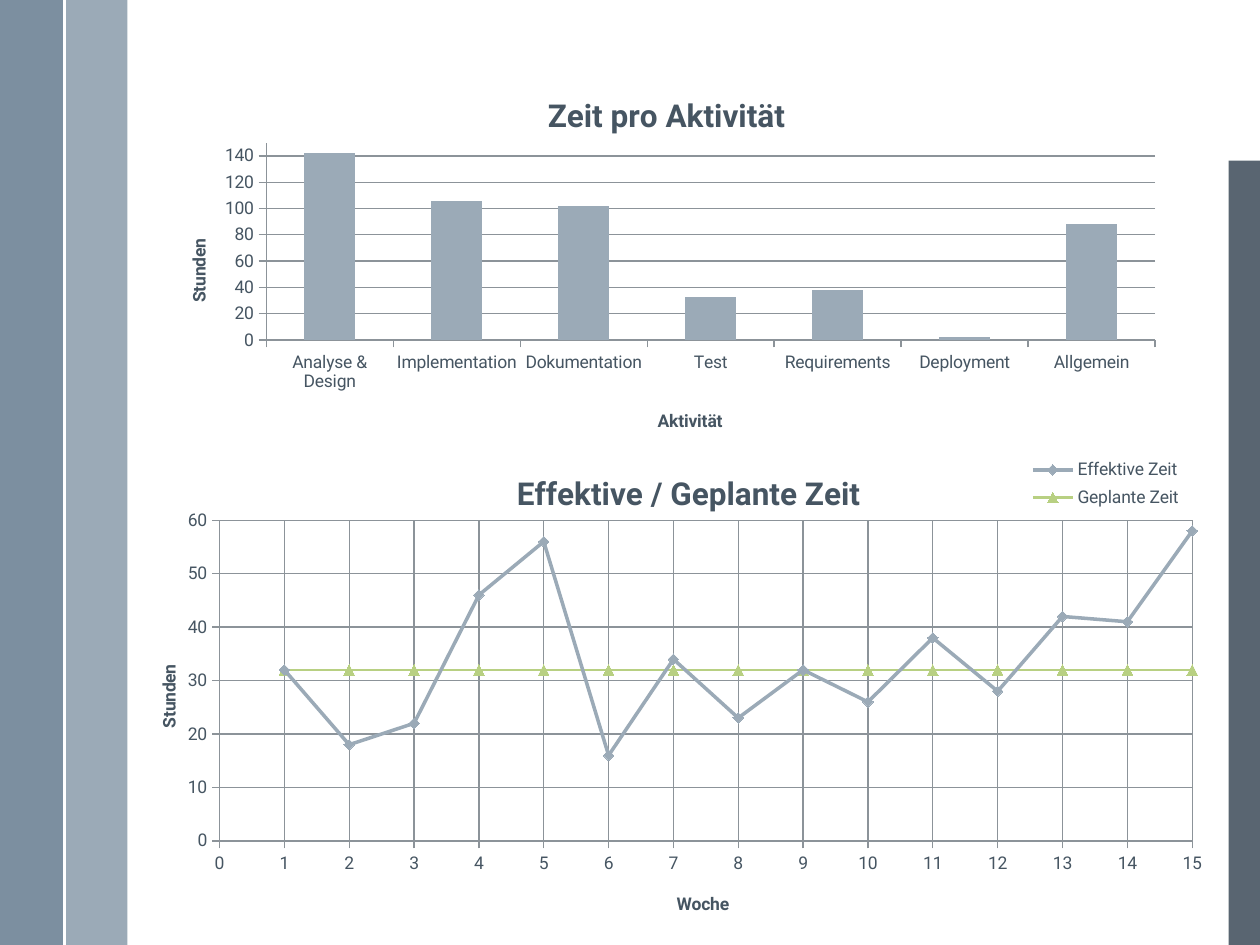
from dataclasses import dataclass
from typing import Optional
from lxml.etree import SubElement
from pptx import Presentation
from pptx.chart.data import CategoryChartData, XyChartData
from pptx.dml.color import RGBColor
from pptx.enum.chart import (XL_CHART_TYPE, XL_LEGEND_POSITION,
                             XL_MARKER_STYLE, XL_TICK_MARK)
from pptx.enum.shapes import MSO_CONNECTOR, MSO_SHAPE
from pptx.oxml import parse_xml
from pptx.oxml.ns import nsdecls, qn
from pptx.util import Cm, Pt

HEX = {"mist": "9BAAB7", "slate": "6A8093", "dark": "475562", "text": "465562",
       "lime": "B8D082", "grid": "8C9399", "white": "FFFFFF"}
FONT = "Roboto"
HIGH = 19.05


@dataclass
class Band:
    left: float
    top: float
    width: float
    color: str
    alpha: int = 100


@dataclass
class Axis:
    title: str
    place: tuple
    top: Optional[float] = None
    step: Optional[float] = None
    grid: bool = True


@dataclass
class Plot:
    kind: XL_CHART_TYPE
    box: tuple
    title: str
    place: tuple
    inner: tuple
    across: Axis
    up: Axis


@dataclass
class Curve:
    name: str
    hours: list
    color: str
    width: float
    mark: XL_MARKER_STYLE


BANDS = [Band(1.3, 0, 1.27, "mist"), Band(0, 0, 1.27, "slate", 88),
         Band(24.77, 3.24, 0.63, "dark", 90)]

WORK = {"Analyse & Design": 142, "Implementation": 106, "Dokumentation": 102,
        "Test": 33, "Requirements": 38, "Deployment": 2, "Allgemein": 88}

CURVES = [
    Curve("Effektive Zeit",
          [32, 18, 22, 46, 56, 16, 34, 23, 32, 26, 38, 28, 42, 41, 58],
          "mist", 2, XL_MARKER_STYLE.DIAMOND),
    Curve("Geplante Zeit", [32] * 15, "lime", 1.5, XL_MARKER_STYLE.TRIANGLE),
]

WEEKS = Plot(XL_CHART_TYPE.XY_SCATTER_LINES, (2.9, 8.92, 21.79, 9.8),
             "Effektive / Geplante Zeit", (0.34, 0.05), (0.07, 0.16, 0.9, 0.66),
             Axis("Woche", (0.49, 0.92), 15, 1),
             Axis("Stunden", (0.01, 0.45), 60, 10))
TASKS = Plot(XL_CHART_TYPE.COLUMN_CLUSTERED, (3.1, 1.32, 20.6, 7.8),
             "Zeit pro Aktivität", (0.38, 0.06), (0.11, 0.2, 0.87, 0.51),
             Axis("Aktivität", (0.49, 0.88), grid=False),
             Axis("Stunden", (0.03, 0.44), 150, 20))


def rgb(name: str) -> RGBColor:
    return RGBColor.from_string(HEX[name])


def draw_band(slide, band: Band) -> None:
    shape = slide.shapes.add_shape(
        MSO_SHAPE.RECTANGLE, Cm(band.left), Cm(band.top), Cm(band.width),
        Cm(HIGH - band.top))
    shape.shadow.inherit = False
    shape.line.fill.background()
    shape.fill.solid()
    shape.fill.fore_color.rgb = rgb(band.color)
    if band.alpha < 100:
        tint = shape.fill._xPr.find(".//" + qn("a:srgbClr"))
        SubElement(tint, qn("a:alpha"), val=str(band.alpha * 1000))


def draw_seam(slide) -> None:
    """White line between the two left bands."""
    seam = slide.shapes.add_connector(
        MSO_CONNECTOR.STRAIGHT, Cm(1.3), 0, Cm(1.3), Cm(HIGH))
    seam.line.color.rgb = rgb("white")
    seam.line.width = Pt(1.5)
    SubElement(seam._element.spPr, qn("a:effectLst"))


def place(node, spot: tuple, inner: bool = False) -> None:
    """Fix a chart part at x, y and, if given, w, h as shares of the chart."""
    for old in node.findall(qn("c:layout")):
        node.remove(old)
    parts = '<c:layoutTarget val="inner"/>' if inner else ""
    parts += '<c:xMode val="edge"/><c:yMode val="edge"/>'
    parts += "".join(f'<c:{key} val="{val}"/>' for key, val in zip("xywh", spot))
    layout = parse_xml(f'<c:layout {nsdecls("c")}><c:manualLayout>{parts}'
                       '</c:manualLayout></c:layout>')
    after = node.find(qn("c:overlay"))
    if after is None:
        node.insert(0, layout)
    else:
        after.addprevious(layout)


def set_font(font, size: int, bold: bool = False) -> None:
    font.name, font.size, font.bold = FONT, Pt(size), bold
    font.color.rgb = rgb("text")


def set_title(title, text: str, spot: tuple, size: int) -> None:
    frame = title.text_frame
    frame.text = text
    set_font(frame.paragraphs[0].runs[0].font, size, True)
    place(title._element, spot)


def set_axis(axis, spec: Axis) -> None:
    set_title(axis.axis_title, spec.title, spec.place, 10)
    set_font(axis.tick_labels.font, 10)
    axis.major_tick_mark = XL_TICK_MARK.OUTSIDE
    axis.minor_tick_mark = XL_TICK_MARK.NONE
    lines = [axis.format.line]
    axis.has_major_gridlines = spec.grid
    if spec.grid:
        lines.append(axis.major_gridlines.format.line)
    for line in lines:
        line.color.rgb = rgb("grid")
        line.width = Pt(0.75)
    if spec.top is not None:
        axis.minimum_scale, axis.maximum_scale = 0, spec.top
        axis.major_unit = spec.step


def draw_chart(slide, plot: Plot, data):
    chart = slide.shapes.add_chart(
        plot.kind, *[Cm(side) for side in plot.box], data).chart
    set_font(chart.font, 10)
    chart.has_title = True
    set_title(chart.chart_title, plot.title, plot.place, 18)
    chart.has_legend = False
    set_axis(chart.category_axis, plot.across)
    set_axis(chart.value_axis, plot.up)
    place(chart._chartSpace.find(".//" + qn("c:plotArea")), plot.inner, True)
    chart.plots[0].vary_by_categories = False
    return chart


def draw_weeks(slide) -> None:
    data = XyChartData(number_format="General")
    for curve in CURVES:
        row = data.add_series(curve.name)
        for week, hours in enumerate(curve.hours, 1):
            row.add_data_point(week, hours)
    chart = draw_chart(slide, WEEKS, data)
    for row, curve in zip(chart.plots[0].series, CURVES):
        row.smooth = False
        row.format.line.color.rgb = rgb(curve.color)
        row.format.line.width = Pt(curve.width)
        row.marker.style, row.marker.size = curve.mark, 6
        row.marker.format.fill.solid()
        row.marker.format.fill.fore_color.rgb = rgb(curve.color)
        row.marker.format.line.color.rgb = rgb(curve.color)
    chart.has_legend = True
    chart.legend.position = XL_LEGEND_POSITION.RIGHT
    chart.legend.include_in_layout = False
    set_font(chart.legend.font, 10)
    place(chart.legend._element, (0.81, 0.02, 0.16, 0.13))


def draw_tasks(slide) -> None:
    data = CategoryChartData(number_format="General")
    data.categories = list(WORK)
    data.add_series(TASKS.title, list(WORK.values()))
    bars = draw_chart(slide, TASKS, data).plots[0]
    bars.gap_width = 150
    bars.series[0].format.fill.solid()
    bars.series[0].format.fill.fore_color.rgb = rgb("mist")


def main() -> None:
    deck = Presentation()
    deck.slide_width, deck.slide_height = Cm(25.4), Cm(HIGH)
    slide = deck.slides.add_slide(deck.slide_layouts[6])
    for band in BANDS[:2]:
        draw_band(slide, band)
    draw_seam(slide)
    draw_band(slide, BANDS[2])
    draw_weeks(slide)
    draw_tasks(slide)
    deck.save("out.pptx")


if __name__ == "__main__":
    main()
